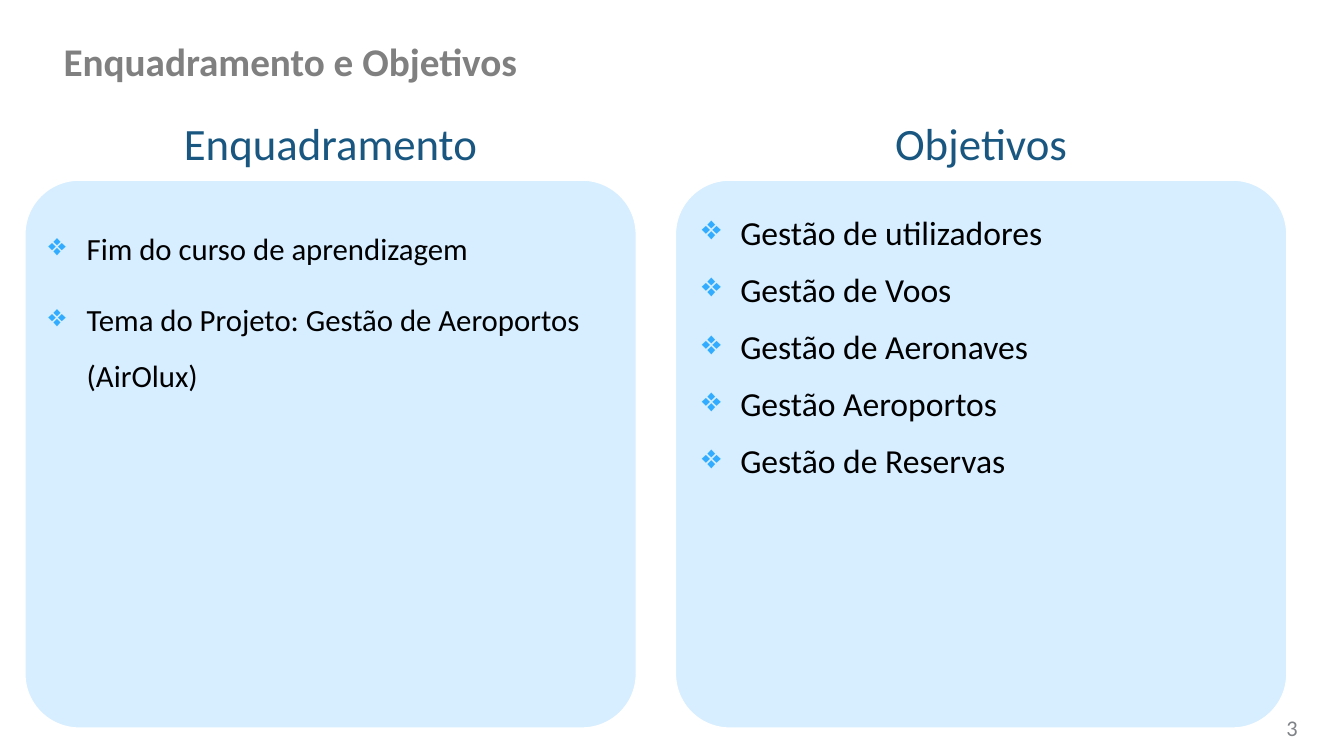
"""Build the slide that sets out the project's background and goals."""
from dataclasses import dataclass
from typing import NamedTuple

from lxml import etree
from pptx import Presentation
from pptx import util as u
from pptx.dml.color import RGBColor
from pptx.enum import shapes, text
from pptx.oxml.ns import qn

WIDTH, HEIGHT = u.Inches(13.33), u.Inches(7.5)
FONT = "Calibri"
GREY = RGBColor(0x80, 0x80, 0x80)
NUMBER_GREY = RGBColor(0x7F, 0x83, 0x87)
NAVY = RGBColor(0x19, 0x57, 0x81)
PALE_BLUE = RGBColor(0xD6, 0xEE, 0xFF)
BULLET_BLUE = RGBColor(0x32, 0xAC, 0xFF)
BLACK = RGBColor(0x00, 0x00, 0x00)
WHITE = RGBColor(0xFF, 0xFF, 0xFF)

MARGIN, COLUMN_PITCH = 1.8, 48.4
INDENT = u.Inches(0.38)


class Box(NamedTuple):
    """Left, top, width and height in percent of the slide's size."""

    left: float
    top: float
    width: float
    height: float

    def emu(self) -> tuple[int, int, int, int]:
        """Return the box in EMU."""
        return (int(WIDTH * self.left / 100), int(HEIGHT * self.top / 100),
                int(WIDTH * self.width / 100), int(HEIGHT * self.height / 100))


@dataclass
class Panel:
    """A headed column with a bulleted list."""

    heading: str
    items: list[str]
    size: int
    line_spacing: float
    list_offset: float


PANELS = [
    Panel("Enquadramento",
          ["Fim do curso de aprendizagem",
           "Tema do Projeto: Gestão de Aeroportos (AirOlux)"], 22, 1.5, 1.8),
    Panel("Objetivos",
          ["Gestão de utilizadores", "Gestão de Voos", "Gestão de Aeronaves",
           "Gestão Aeroportos", "Gestão de Reservas"], 24, 1.0, 2.03),
]


def prepare_frame(tf, inset: float = 0) -> None:
    """Wrap the text frame, anchor it at the top and set its insets."""
    tf.word_wrap = True
    tf.auto_size = text.MSO_AUTO_SIZE.NONE
    tf.vertical_anchor = text.MSO_ANCHOR.TOP
    tf.margin_left = tf.margin_right = u.Inches(inset)
    tf.margin_top = tf.margin_bottom = u.Inches(inset / 2)


def format_paragraph(p, size: int, color: RGBColor, align=text.PP_ALIGN.LEFT,
                     bold: bool = False) -> None:
    """Align a paragraph and format its runs."""
    p.alignment = align
    for r in p.runs:
        r.font.name = FONT
        r.font.size = u.Pt(size)
        r.font.bold = bold
        r.font.color.rgb = color


def add_label(s, box: Box, label: str, size: int, color: RGBColor, align,
              inset: float = 0):
    """Add a single-paragraph text box and return its text frame."""
    tf = s.shapes.add_textbox(*box.emu()).text_frame
    prepare_frame(tf, inset)
    tf.text = label
    format_paragraph(tf.paragraphs[0], size, color, align)
    return tf


def set_bullet(p) -> None:
    """Give a paragraph a hanging blue bullet."""
    pPr = p._p.get_or_add_pPr()
    pPr.set("marL", str(INDENT))
    pPr.set("indent", str(-INDENT))
    color = etree.SubElement(pPr, qn("a:buClr"))
    etree.SubElement(color, qn("a:srgbClr"), val=str(BULLET_BLUE))
    etree.SubElement(pPr, qn("a:buChar"), char="❖")


def add_list(s, box: Box, panel: Panel) -> None:
    """Add the panel's bulleted list."""
    tf = s.shapes.add_textbox(*box.emu()).text_frame
    prepare_frame(tf)
    tf.text = "\n".join(panel.items)
    for i, p in enumerate(tf.paragraphs):
        format_paragraph(p, panel.size, BLACK)
        p.line_spacing = panel.line_spacing
        p.space_before = u.Pt(panel.size / 2 if i else 0)
        set_bullet(p)


def add_panel(s, left: float, panel: Panel) -> None:
    """Add a rounded card with its heading and list."""
    sp = s.shapes.add_shape(shapes.MSO_SHAPE.ROUNDED_RECTANGLE,
                            *Box(left, 23.73, 45.6, 72.67).emu())
    sp.adjustments[0] = 0.1
    sp.shadow.inherit = False
    sp.fill.solid()
    sp.fill.fore_color.rgb = PALE_BLUE
    sp.line.color.rgb = WHITE
    sp.line.width = u.Pt(2)
    add_label(s, Box(left + 6, 15.33, 33.6, 8.4), panel.heading, 32, NAVY,
              text.PP_ALIGN.CENTER)
    add_list(s, Box(left + panel.list_offset, 28, 42.35, 58.8), panel)


def add_title(s, title: str) -> None:
    """Place and format the slide's title."""
    sp = s.shapes.title
    sp.left, sp.top, sp.width, sp.height = Box(4.73, 4.8, 80.27, 8.4).emu()
    tf = sp.text_frame
    prepare_frame(tf)
    tf.text = title
    p = tf.paragraphs[0]
    format_paragraph(p, 28, GREY, bold=True)
    p.line_spacing = 1.03


def main() -> None:
    """Build and save the slide."""
    prs = Presentation()
    prs.slide_width, prs.slide_height = WIDTH, HEIGHT
    s = prs.slides.add_slide(prs.slide_layouts[5])
    add_title(s, "Enquadramento e Objetivos")
    number = add_label(s, Box(74.8, 93.6, 22.5, 5.33), "3", 16, NUMBER_GREY,
                       text.PP_ALIGN.RIGHT, inset=0.1)
    number.vertical_anchor = text.MSO_ANCHOR.MIDDLE
    for column, panel in enumerate(PANELS):
        add_panel(s, MARGIN + column * COLUMN_PITCH, panel)
    prs.save("out.pptx")


if __name__ == "__main__":
    main()
